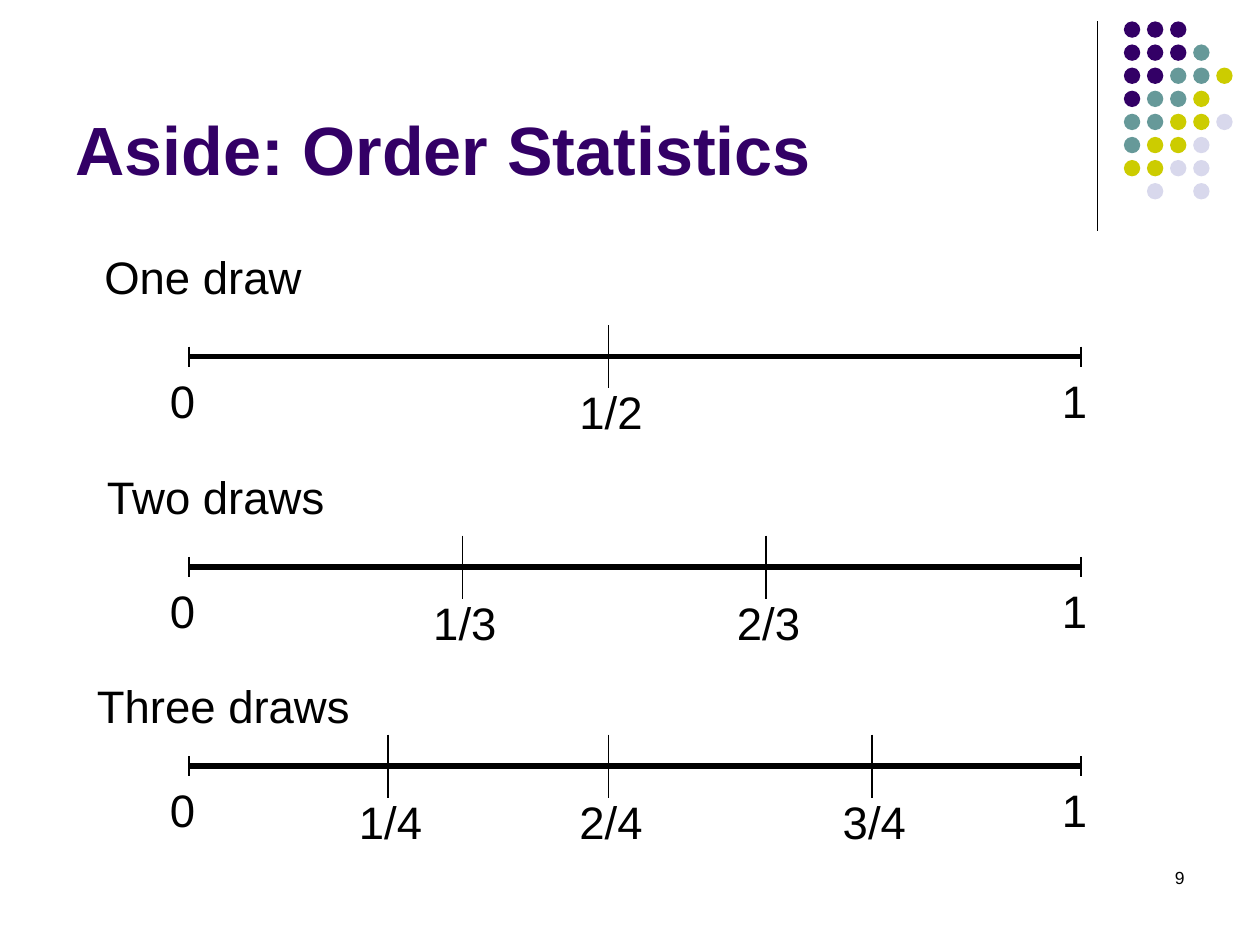
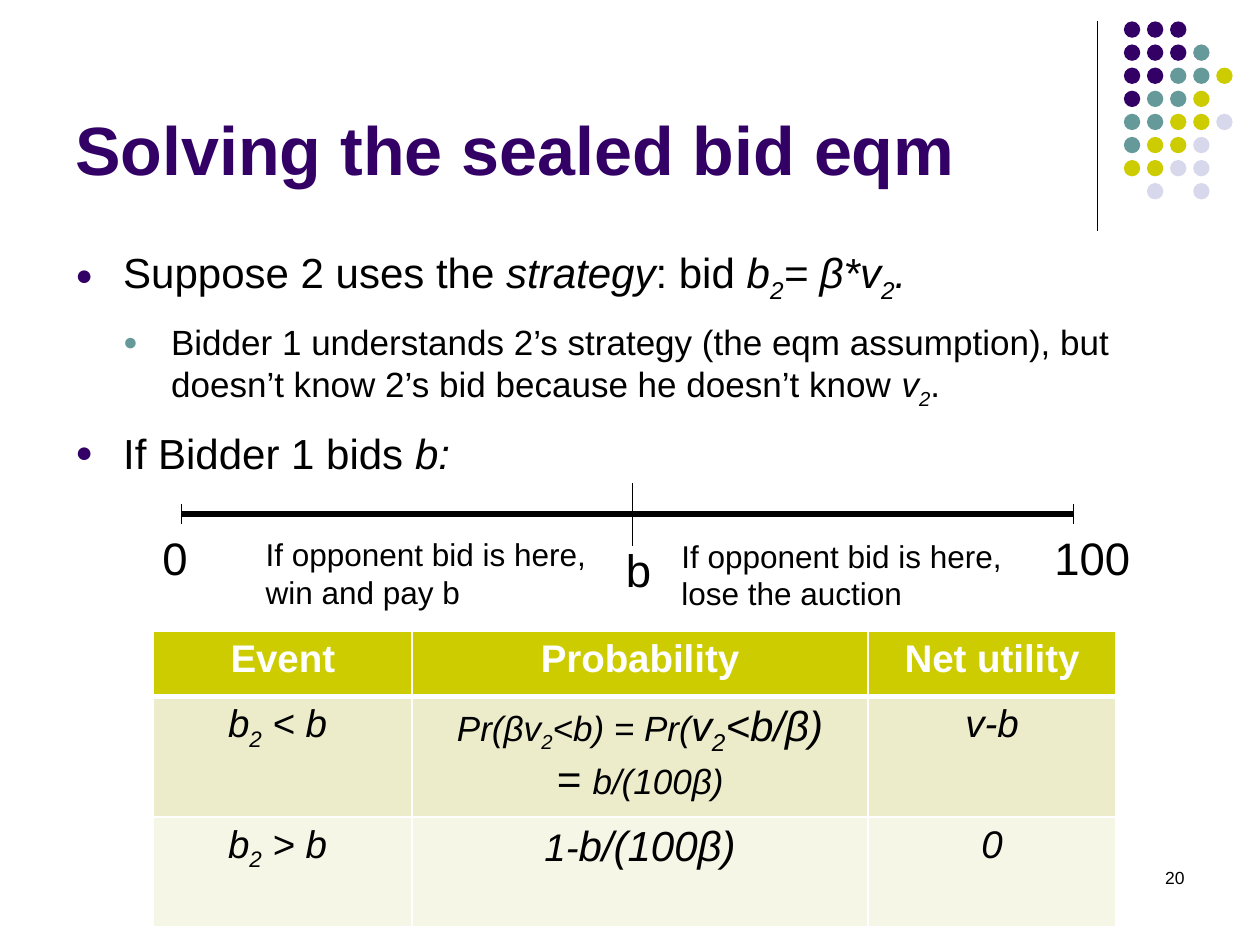
from dataclasses import dataclass
from lxml import etree
from pptx import Presentation
from pptx.dml.color import RGBColor
from pptx.enum.shapes import MSO_CONNECTOR, MSO_SHAPE
from pptx.enum.text import MSO_ANCHOR, PP_ALIGN
from pptx.oxml.ns import qn
from pptx.util import Inches, Pt

LINE = MSO_CONNECTOR.STRAIGHT
OVAL = MSO_SHAPE.OVAL
LOW = MSO_ANCHOR.BOTTOM
LEFT, MID, RIGHT = PP_ALIGN.LEFT, PP_ALIGN.CENTER, PP_ALIGN.RIGHT


@dataclass(frozen=True)
class Theme:
    font: str = "Arial"
    ink: str = "000000"
    paper: str = "FFFFFF"
    plum: str = "330066"
    teal: str = "669999"
    lime: str = "CCCC00"
    mist: str = "D8D8EC"
    band: tuple = ("CCCC00", "ECECCB", "F6F6E7")
    title: int = 39
    label: int = 26
    body: int = 24
    cell: int = 22
    sub: int = 20
    note: int = 18
    page: int = 10
    thin: float = 0.75
    thick: float = 3


T = Theme()

# Content: a run is (text, style, size); style i = italic, s = subscript
DOTS = ["PPP", "PPPT", "PPTTY", "PTTY", "TTYYL", "TYYL", "YYLL", " L L"]
HUES = {"P": T.plum, "T": T.teal, "Y": T.lime, "L": T.mist}

DRAWS = [
    ("One draw", 0.73, 1.93, 1.77, 2.83, [("1/2", 4.83)]),
    ("Two draws", 0.75, 3.67, 1.95, 4.5, [("1/3", 3.67), ("2/3", 6.08)]),
    ("Three draws", 0.67, 5.33, 2.21, 6.08,
     [("1/4", 3.08), ("2/4", 4.83), ("3/4", 6.92)]),
]

POINTS = [
    (0, [("Suppose 2 uses the ",), ("strategy", "i"), (": bid ",), ("b", "i"),
         ("2", "is"), ("= β*v", "i"), ("2", "is"), (".", "i")]),
    (1, [("Bidder 1 understands 2’s strategy (the eqm assumption), but "
          "doesn’t know 2’s bid because he doesn’t know ",),
         ("v", "i"), ("2", "is"), (".",)]),
    (0, [("If Bidder 1 bids ",), ("b:", "i")]),
]
LEVELS = [(T.body, T.plum), (T.sub, T.teal)]

NOTES = [
    (2.01, 4.2, 2.78, ["If opponent bid is here,", "win and pay b"]),
    (5.31, 4.21, 2.74, ["If opponent bid is here,", "lose the auction"]),
]

COLS = [2.05, 3.62, 1.97]
ROWS = [0.52, 0.95, 0.87]
CELLS = [
    [[[("Event",)]], [[("Probability",)]], [[("Net utility",)]]],
    [[[("b", "i"), ("2", "is"), (" < b ", "i")]],
     [[("Pr(", "i", T.sub), ("βv", "i", T.sub), ("2", "is", T.sub),
       ("<b) = Pr(", "i", T.sub), ("v", "i", T.body), ("2", "is", T.body),
       ("<b/β)", "i", T.body)],
      [("= ", "i", T.body), ("b/(100β)", "i", T.sub)]],
     [[("v-b", "i")]]],
    [[[("b", "i"), ("2", "is"), (" > b ", "i")]],
     [[("1-", "i"), ("b/(100β)", "i", T.body)]],
     [[("0", "i")]]],
]


def rgb(hue):
    return RGBColor.from_string(hue)


# Text
def style(para, size, hue=T.ink, bold=False, align=LEFT):
    para.alignment = align
    font = para.font
    font.name, font.size, font.bold = T.font, Pt(size), bold
    font.color.rgb = rgb(hue)


def add_runs(para, runs):
    for text, *rest in runs:
        run = para.add_run()
        run.text = text
        look = rest[0] if rest else ""
        if "i" in look:
            run.font.italic = True
        if "s" in look:
            run._r.get_or_add_rPr().set("baseline", "-25000")
        if len(rest) > 1:
            run.font.size = Pt(rest[1])


def add_box(slide, left, top, wide, high, wrap=True):
    box = slide.shapes.add_textbox(*map(Inches, (left, top, wide, high)))
    box.text_frame.word_wrap = wrap
    return box.text_frame


def add_text(slide, lines, left, top, wide, high, size, wrap=False, **look):
    frame = add_box(slide, left, top, wide, high, wrap)
    frame.text = "\n".join(lines)
    for para in frame.paragraphs:
        style(para, size, **look)
    return frame


def add_bullet(para, hue):
    props = para._p.get_or_add_pPr()
    tint = etree.SubElement(props, qn("a:buClr"))
    etree.SubElement(tint, qn("a:srgbClr"), val=hue)
    etree.SubElement(props, qn("a:buSzPct"), val="70000")
    etree.SubElement(props, qn("a:buFont"), typeface=T.font)
    etree.SubElement(props, qn("a:buChar"), char="●")


# Lines and axes
def add_line(slide, x1, y1, x2, y2, width=T.thin):
    line = slide.shapes.add_connector(LINE, *map(Inches, (x1, y1, x2, y2)))
    line.line.color.rgb = rgb(T.ink)
    line.line.width = Pt(width)
    etree.SubElement(line._element.spPr, qn("a:effectLst"))


def add_label(slide, text, left, top):
    wide = 0.2 + sum(0.1 if sign == "/" else 0.2 for sign in text)
    add_text(slide, [text], left, top, wide, 0.53, T.label)
    return wide


def add_axis(slide, left, y, last, marks):
    right = left + 7.08
    add_line(slide, left, y, right, y, T.thick)
    for text, x in (("0", left), (last, right)):
        add_line(slide, x, y - 0.08, x, y + 0.08)
        add_label(slide, text, x - 0.25, y + 0.08)
    for text, x in marks:
        add_line(slide, x, y - 0.25, x, y + 0.25)
        half = 0.05 + 0.1 * len(text) if "/" not in text else 0.33
        add_label(slide, text, x - half, y + 0.17)


# Shared frame: rule, dots, title, page number
def add_frame(deck, title, page):
    slide = deck.slides.add_slide(deck.slide_layouts[6])
    add_line(slide, 8.71, 0.17, 8.71, 1.83)
    pitch = 0.55 / 3
    for row, keys in enumerate(DOTS):
        for col, key in enumerate(keys):
            if key == " ":
                continue
            spot = (8.92 + col * pitch, 0.17 + row * pitch, 0.13, 0.13)
            dot = slide.shapes.add_shape(OVAL, *map(Inches, spot))
            dot.shadow.inherit = False
            dot.fill.solid()
            dot.fill.fore_color.rgb = rgb(HUES[key])
            dot.line.fill.background()
    head = add_text(slide, [title], 0.5, 0.13, 8.25, 1.42, T.title,
                    wrap=True, hue=T.plum, bold=True)
    head.vertical_anchor = LOW
    add_text(slide, [str(page)], 7.17, 6.83, 2.33, 0.5, T.page,
             wrap=True, align=RIGHT)
    return slide


# Body list
def add_points(slide):
    frame = add_box(slide, 0.5, 1.91, 9, 5.17)
    for num, (level, runs) in enumerate(POINTS):
        para = frame.add_paragraph() if num else frame.paragraphs[0]
        size, hue = LEVELS[level]
        props = para._p.get_or_add_pPr()
        props.set("marL", str(Inches(0.38 * (level + 1))))
        props.set("indent", str(-Inches(0.38)))
        para.level = level
        if num:
            para.space_before = Pt(4.8)
        para.space_after = Pt(4.8)
        add_bullet(para, hue)
        style(para, size)
        add_runs(para, runs)


# Table
def add_edges(cell, row):
    props = cell._tc.get_or_add_tcPr()
    heavy = {0: "B", 1: "T"}.get(row)
    for side in "LRTB":
        width = Pt(3 if side == heavy else 1)
        edge = etree.SubElement(props, qn("a:ln" + side), w=str(width))
        fill = etree.SubElement(edge, qn("a:solidFill"))
        etree.SubElement(fill, qn("a:srgbClr"), val=T.paper)


def add_grid(slide):
    spot = map(Inches, (1.22, 5.01, sum(COLS), sum(ROWS)))
    grid = slide.shapes.add_table(len(ROWS), len(COLS), *spot).table
    grid.first_row = grid.horz_banding = False
    for col, wide in zip(grid.columns, COLS):
        col.width = Inches(wide)
    for row, high in enumerate(ROWS):
        grid.rows[row].height = Inches(high)
        top = row == 0
        for col, lines in enumerate(CELLS[row]):
            cell = grid.cell(row, col)
            add_edges(cell, row)
            cell.fill.solid()
            cell.fill.fore_color.rgb = rgb(T.band[row])
            frame = cell.text_frame
            for num, runs in enumerate(lines):
                para = frame.add_paragraph() if num else frame.paragraphs[0]
                style(para, T.cell, T.paper if top else T.ink, top, MID)
                add_runs(para, runs)


def main():
    deck = Presentation()
    deck.slide_width, deck.slide_height = Inches(10), Inches(7.5)

    # Order statistics
    slide = add_frame(deck, "Aside: Order Statistics", 9)
    for name, left, top, wide, y, marks in DRAWS:
        add_axis(slide, 1.5, y, "1", marks)
        add_text(slide, [name], left, top, wide, 0.53, T.label)

    # Sealed bid
    slide = add_frame(deck, "Solving the sealed bid eqm", 20)
    add_points(slide)
    add_axis(slide, 1.44, 4.08, "100", [("b", 5.02)])
    for left, top, wide, lines in NOTES:
        add_text(slide, lines, left, top, wide, 0.7, T.note)
    add_grid(slide)

    deck.save("out.pptx")


if __name__ == "__main__":
    main()
